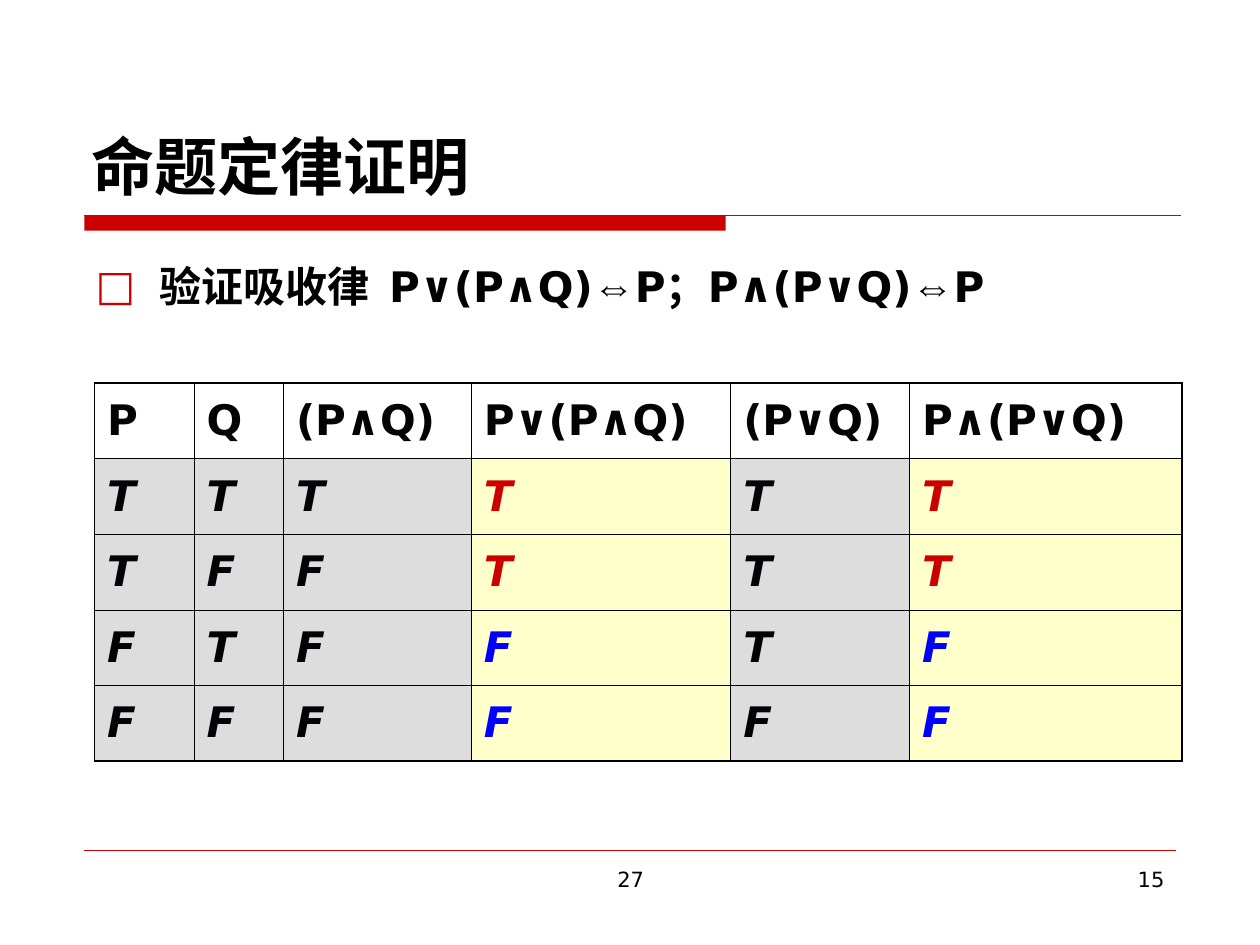
"""Build a slide that proves the absorption laws with a truth table."""
from lxml import etree
from pptx import Presentation
from pptx import util as u
from pptx.dml.color import RGBColor
from pptx.enum import shapes, text
from pptx.oxml.ns import qn

TITLE = "命题定律证明"
LAWS = ["验证吸收律  P∨(P∧Q)", "⇔", "P；P∧(P∨Q)", "⇔", "P"]
HEADERS = ["P", "Q", "(P∧Q)", "P∨(P∧Q)", "(P∨Q)", "P∧(P∨Q)"]
TRUTH_ROWS = ["TTTTTT", "TFFTTT", "FTFFTF", "FFFFFF"]
RESULT_COLUMNS = (3, 5)
COLUMN_WIDTHS = [0.79, 0.71, 1.49, 2.06, 1.42, 2.16]
ROW_HEIGHT = 0.6
FOOTERS = [
    ("27", 3.42, 3.17, text.PP_ALIGN.CENTER),
    ("15", 7.17, 2.17, text.PP_ALIGN.RIGHT),
]
COLORS = {
    "red": "CC0000", "blue": "0000FF", "black": "000000",
    "ink": "030305", "gray": "DDDDDD", "yellow": "FFFFCC",
}
FONT, SYMBOL_FONT = "DejaVu Sans", "Arial"
INNER_LINE, OUTER_LINE = 0.45, 1.08


def color(name):
    return RGBColor.from_string(COLORS[name])


def place(box, left, top, width, height):
    box.left, box.top = u.Inches(left), u.Inches(top)
    box.width, box.height = u.Inches(width), u.Inches(height)


def style(span, size, shade="black", bold=True, italic=False, name=FONT):
    font = span.font
    font.name, font.size = name, u.Pt(size)
    font.bold, font.italic = bold, italic
    font.color.rgb = color(shade)


def add_line(page, left, right, y, width):
    line = page.shapes.add_connector(
        shapes.MSO_CONNECTOR.STRAIGHT,
        u.Inches(left), u.Inches(y), u.Inches(right), u.Inches(y))
    line.line.color.rgb = color("red")
    line.line.width = u.Pt(width)
    properties = line._element.spPr
    etree.SubElement(properties, qn("a:effectLst"))


def add_rules(page):
    add_line(page, 0.67, 9.37, 1.71, 0.75)
    bar = page.shapes.add_shape(
        shapes.MSO_SHAPE.RECTANGLE,
        u.Inches(0.67), u.Inches(1.71), u.Inches(5.09), u.Inches(0.12))
    bar.shadow.inherit = False
    bar.fill.solid()
    bar.fill.fore_color.rgb = color("red")
    bar.line.fill.background()
    add_line(page, 0.67, 9.33, 6.75, 0.25)


def fill_title(box):
    place(box, 0.63, 0.33, 8.75, 1.33)
    frame = box.text_frame
    frame.text = TITLE
    frame.vertical_anchor = text.MSO_ANCHOR.BOTTOM
    frame.auto_size = text.MSO_AUTO_SIZE.NONE
    para = frame.paragraphs[0]
    para.alignment = text.PP_ALIGN.LEFT
    style(para.runs[0], 36)


def add_bullet(para):
    properties = para._p.get_or_add_pPr()
    properties.set("marL", str(u.Inches(0.51)))
    properties.set("indent", str(-u.Inches(0.51)))
    shade = etree.SubElement(properties, qn("a:buClr"))
    etree.SubElement(shade, qn("a:srgbClr"), val=COLORS["red"])
    etree.SubElement(properties, qn("a:buFont"), typeface=FONT)
    etree.SubElement(properties, qn("a:buChar"), char="□")


def fill_body(box):
    place(box, 0.66, 2.02, 8.75, 0.51)
    frame = box.text_frame
    frame.auto_size = text.MSO_AUTO_SIZE.NONE
    para = frame.paragraphs[0]
    para.space_before = u.Pt(6)
    add_bullet(para)
    for part in LAWS:
        span = para.add_run()
        span.text = part
        style(span, 24, name=SYMBOL_FONT if part == "⇔" else FONT)


def set_borders(cell, widths):
    properties = cell._tc.get_or_add_tcPr()
    for side, width in widths.items():
        line = etree.SubElement(
            properties, qn(f"a:ln{side}"), w=str(u.Pt(width)))
        fill = etree.SubElement(line, qn("a:solidFill"))
        etree.SubElement(fill, qn("a:srgbClr"), val=COLORS["black"])


def format_cell(cell, value, row, column, last_row, last_column):
    is_header, is_result = row == 0, column in RESULT_COLUMNS
    edges = {"L": column == 0, "R": column == last_column,
             "T": is_header, "B": row == last_row}
    set_borders(cell, {side: OUTER_LINE if outer else INNER_LINE
                       for side, outer in edges.items()})
    if is_header:
        cell.fill.background()
    else:
        cell.fill.solid()
        cell.fill.fore_color.rgb = color("yellow" if is_result else "gray")
    cell.vertical_anchor = text.MSO_ANCHOR.MIDDLE
    cell.text_frame.text = value
    para = cell.text_frame.paragraphs[0]
    para.space_before = u.Pt(6)
    shade = "ink"
    if is_result and not is_header:
        shade = "red" if value == "T" else "blue"
    style(para.runs[0], 24, shade, italic=not is_header)


def add_truth_table(page):
    rows = [HEADERS, *TRUTH_ROWS]
    table = page.shapes.add_table(
        len(rows), len(HEADERS), u.Inches(0.75), u.Inches(3.04),
        u.Inches(sum(COLUMN_WIDTHS)), u.Inches(ROW_HEIGHT * len(rows))).table
    table.first_row = table.horz_banding = False
    for column, width in zip(table.columns, COLUMN_WIDTHS):
        column.width = u.Inches(width)
    for r, values in enumerate(rows):
        table.rows[r].height = u.Inches(ROW_HEIGHT)
        for c, value in enumerate(values):
            format_cell(table.cell(r, c), value, r, c,
                        len(rows) - 1, len(HEADERS) - 1)


def add_footers(page):
    for label, left, width, alignment in FOOTERS:
        box = page.shapes.add_textbox(
            u.Inches(left), u.Inches(6.83), u.Inches(width), u.Inches(0.52))
        box.text_frame.word_wrap = True
        box.text_frame.text = label
        para = box.text_frame.paragraphs[0]
        para.alignment = alignment
        style(para.runs[0], 12, bold=False)


def main():
    deck = Presentation()
    deck.slide_width, deck.slide_height = u.Inches(10), u.Inches(7.5)
    page = deck.slides.add_slide(deck.slide_layouts[1])
    add_rules(page)
    add_footers(page)
    fill_title(page.shapes.title)
    fill_body(page.placeholders[1])
    add_truth_table(page)
    deck.save("out.pptx")


if __name__ == "__main__":
    main()
